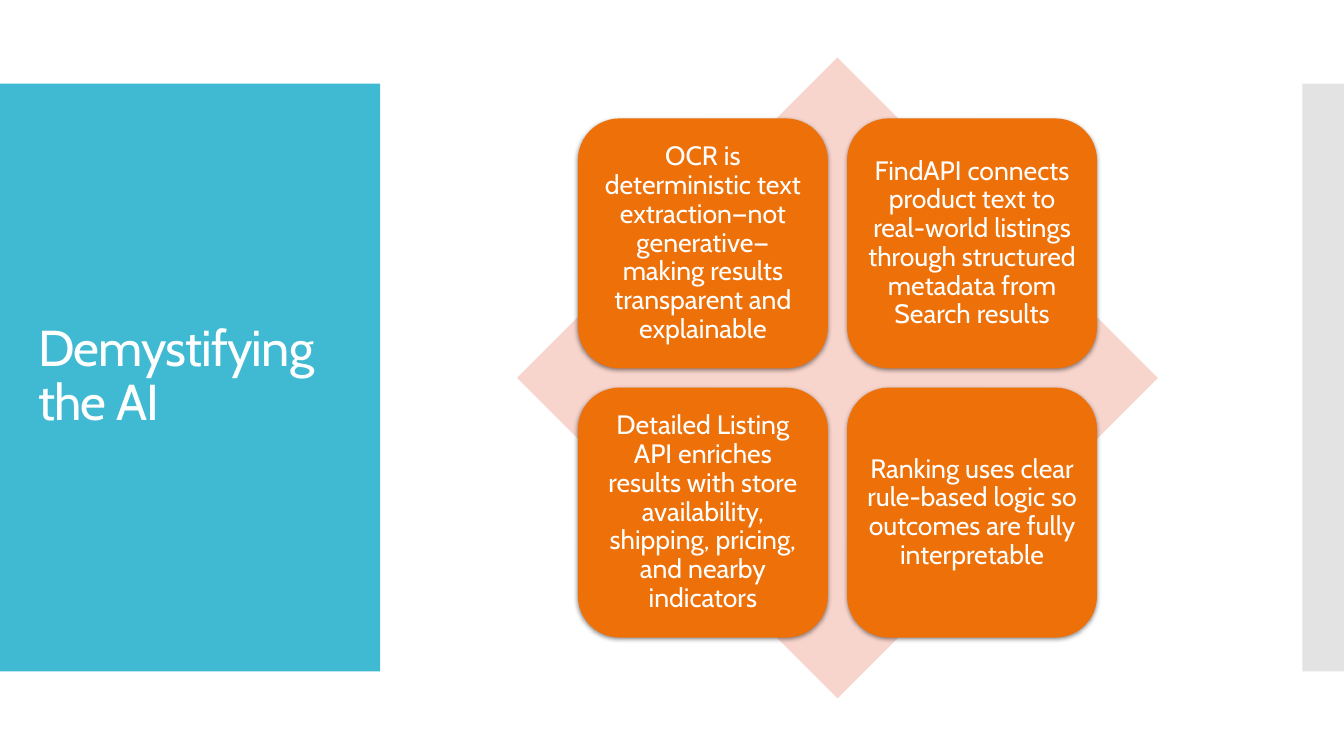
"""Build the "Demystifying the AI" slide with four cards over a diamond."""
from lxml import etree
from pptx import Presentation
from pptx.dml.color import RGBColor
from pptx.enum.shapes import MSO_SHAPE
from pptx.enum.text import MSO_ANCHOR, PP_ALIGN
from pptx.oxml.ns import qn
from pptx.util import Cm, Pt

TITLE = "Demystifying the AI"
CARDS = [
    "OCR is deterministic text extraction—not generative—making results transparent and explainable",
    "FindAPI connects product text to real-world listings through structured metadata from Search results",
    "Detailed Listing API enriches results with store availability, shipping, pricing, and nearby indicators",
    "Ranking uses clear rule-based logic so outcomes are fully interpretable",
]

RECT, DIAMOND, ROUNDED = MSO_SHAPE.RECTANGLE, MSO_SHAPE.DIAMOND, MSO_SHAPE.ROUNDED_RECTANGLE
MIDDLE = MSO_ANCHOR.MIDDLE
LEFT, CENTER = PP_ALIGN.LEFT, PP_ALIGN.CENTER
FONT = "Cabin"
WHITE = RGBColor(0xFF, 0xFF, 0xFF)
TEAL = RGBColor(0x40, 0xBA, 0xD2)
GRAY = RGBColor(0xE3, 0xE3, 0xE3)
PINK = RGBColor(0xF8, 0xD5, 0xCC)
ORANGE = RGBColor(0xEE, 0x70, 0x08)

SLIDE_W, SLIDE_H = 33.87, 19.05
PANEL_TOP, PANEL_H = 2.11, 14.81
TITLE_PANEL_W, EDGE_W = 9.58, 1.05
DIAMOND_X, DIAMOND_Y, DIAMOND_SIZE = 13.03, 1.45, 16.15
CARD_SIZE = 0.39 * DIAMOND_SIZE
CARD_OFFSET = 0.095 * DIAMOND_SIZE
CARD_PITCH = 0.42 * DIAMOND_SIZE


def add_shape(s, kind, x, y, w, h, color):
    sp = s.shapes.add_shape(kind, Cm(x), Cm(y), Cm(w), Cm(h))
    sp.fill.solid()
    sp.fill.fore_color.rgb = color
    sp.line.fill.background()
    sp.shadow.inherit = False
    return sp


def add_shadow(sp):
    effects = sp._element.spPr.find(qn("a:effectLst"))
    shadow = etree.SubElement(
        effects, qn("a:outerShdw"), blurRad=str(Pt(3.5)), dist=str(Pt(1.1)),
        dir="5400000", algn="ctr", rotWithShape="0")
    color = etree.SubElement(shadow, qn("a:srgbClr"), val="000000")
    etree.SubElement(color, qn("a:alpha"), val="45000")


def set_text(sp, text, size, align, inset):
    tf = sp.text_frame
    tf.word_wrap = True
    tf.vertical_anchor = MIDDLE
    tf.margin_left = tf.margin_right = tf.margin_top = tf.margin_bottom = Cm(inset)
    p = tf.paragraphs[0]
    r = p.add_run()
    r.text = text
    p.alignment = align
    p.line_spacing = 0.9
    p.font.name = FONT
    p.font.size = Pt(size)
    p.font.color.rgb = WHITE
    return r


def main():
    prs = Presentation()
    prs.slide_width, prs.slide_height = Cm(SLIDE_W), Cm(SLIDE_H)
    s = prs.slides.add_slide(prs.slide_layouts[6])

    add_shape(s, RECT, 0, PANEL_TOP, TITLE_PANEL_W, PANEL_H, TEAL)
    add_shape(s, RECT, SLIDE_W - EDGE_W, PANEL_TOP, EDGE_W, PANEL_H, GRAY)
    title = s.shapes.add_textbox(Cm(0.71), Cm(3.12), Cm(8.18), Cm(12.78))
    r = set_text(title, TITLE, 36, LEFT, 0.25)
    r.font._element.set("spc", "-60")

    add_shape(s, DIAMOND, DIAMOND_X, DIAMOND_Y, DIAMOND_SIZE, DIAMOND_SIZE, PINK)
    for i, text in enumerate(CARDS):
        row, col = divmod(i, 2)
        x = DIAMOND_X + CARD_OFFSET + col * CARD_PITCH
        y = DIAMOND_Y + CARD_OFFSET + row * CARD_PITCH
        card = add_shape(s, ROUNDED, x, y, CARD_SIZE, CARD_SIZE, ORANGE)
        add_shadow(card)
        set_text(card, text, 19, CENTER, 0.2)

    prs.save("out.pptx")


if __name__ == "__main__":
    main()
